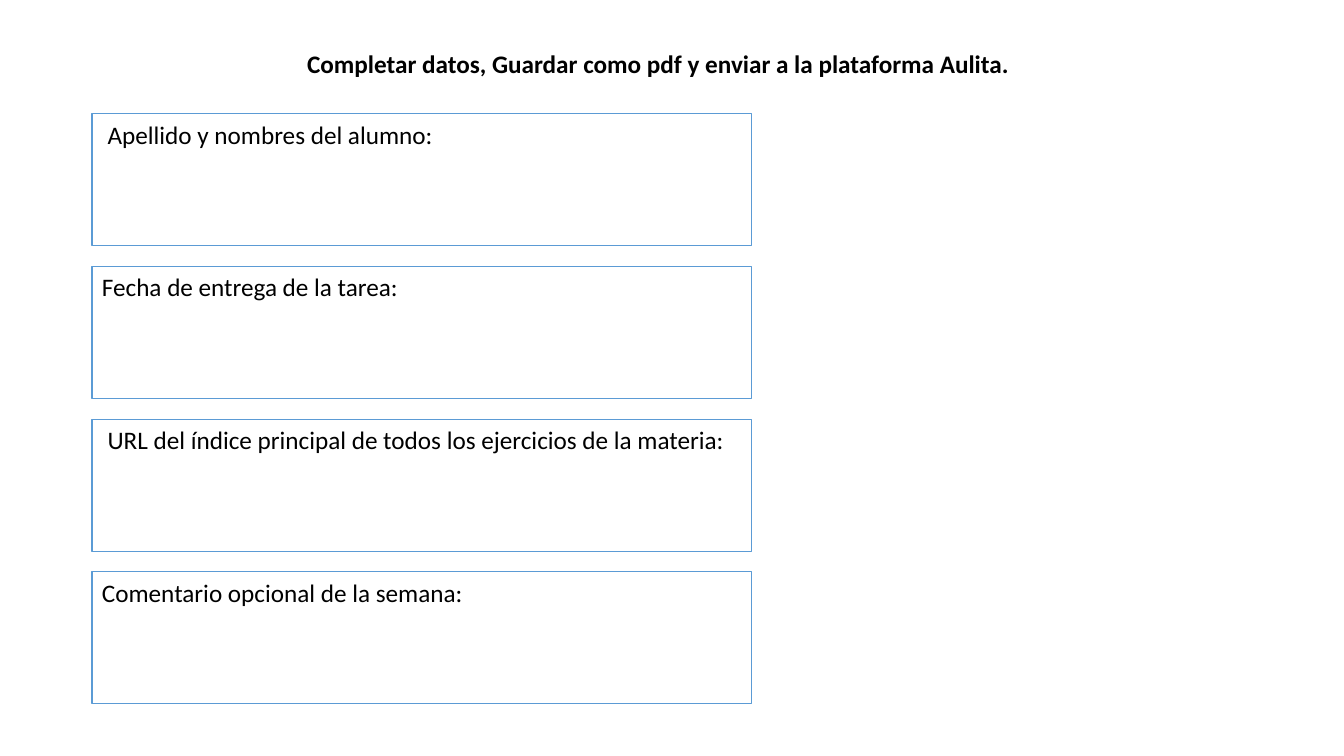
from pptx import Presentation
from pptx.dml.color import RGBColor
from pptx.enum.shapes import MSO_SHAPE as Shape
from pptx.enum.text import MSO_ANCHOR as Anchor, MSO_AUTO_SIZE as AutoSize, PP_ALIGN as Align
from pptx.util import Emu, Pt

HEADING = "Completar datos, Guardar como pdf y enviar a la plataforma Aulita."
FIELDS = [
    "\u00a0Apellido y nombres del alumno:",
    "Fecha de entrega de la tarea:",
    "\u00a0URL del índice principal de todos los ejercicios de la materia:",
    "Comentario opcional de la semana:",
]
FONT, TEXT_SIZE = "Calibri", 18
BLACK, BLUE = "000000", "5B9BD5"
SLIDE_WIDTH, SLIDE_HEIGHT = 1344, 756
HEADING_BOX = (297, 43, 748, 72)
FIELD_LEFT, FIELD_WIDTH, FIELD_HEIGHT = 92, 660, 132
FIRST_TOP, LAST_TOP = 114, 572


def px(length):
    return Emu(round(length * 914400 / 100.8))


def color(value):
    return RGBColor.from_string(value)


def place(shape, bounds):
    shape.left, shape.top, shape.width, shape.height = map(px, bounds)


def write(shape, text, bold=False):
    frame = shape.text_frame
    frame.auto_size = AutoSize.NONE
    frame.word_wrap = True
    frame.vertical_anchor = Anchor.TOP
    para = frame.paragraphs[0]
    para.alignment = Align.LEFT
    span = para.add_run()
    span.text = text
    span.font.name = FONT
    span.font.size = Pt(TEXT_SIZE)
    span.font.bold = bold
    span.font.color.rgb = color(BLACK)


deck = Presentation()
deck.slide_width, deck.slide_height = px(SLIDE_WIDTH), px(SLIDE_HEIGHT)
page = deck.slides.add_slide(deck.slide_layouts[5])

heading = page.shapes.title
place(heading, HEADING_BOX)
write(heading, HEADING, bold=True)

pitch = (LAST_TOP - FIRST_TOP) / (len(FIELDS) - 1)
for row, label in enumerate(FIELDS):
    bounds = (FIELD_LEFT, FIRST_TOP + row * pitch, FIELD_WIDTH, FIELD_HEIGHT)
    box = page.shapes.add_shape(Shape.RECTANGLE, *map(px, bounds))
    box.shadow.inherit = False
    box.fill.background()
    box.line.color.rgb = color(BLUE)
    box.line.width = Pt(0.75)
    write(box, label)

deck.save("out.pptx")
